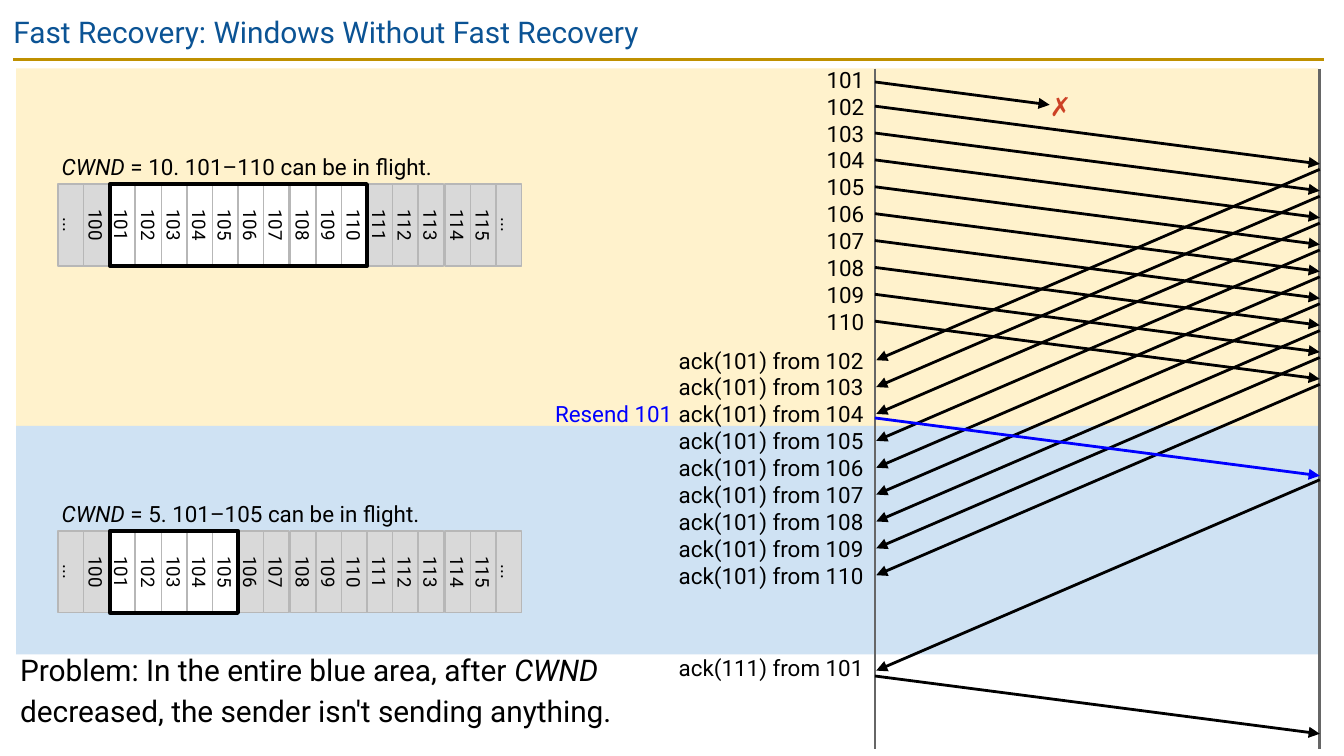
import dataclasses

import pptx
import pptx.dml.color
import pptx.enum.shapes
import pptx.enum.text
import pptx.oxml
import pptx.oxml.ns
import pptx.util

PX = 9144  # EMU in one px, 100 px to the inch


@dataclasses.dataclass(frozen=True)
class Theme:
    font: str = "Roboto"
    symbol_font: str = "Arial"
    heading: str = "0B5394"
    rule: str = "BF9000"
    ink: str = "000000"
    resend: str = "0000FF"
    loss: str = "CC4125"
    timeline: str = "666666"
    before: str = "FFF2CC"
    after: str = "CFE2F3"
    cell: str = "D9D9D9"
    open_cell: str = "FFFFFF"
    cell_edge: str = "B7B7B7"
    large: int = 16
    mark: int = 14
    label: int = 12
    small: int = 10
    thin: float = 0.75
    line: float = 1.5
    thick: float = 2.25


THEME = Theme()
SENDER, RECEIVER = 651, 982  # x of the two timelines
STEP = 20                    # time between packets
TRAVEL = 43                  # drop of a packet on its way
ACK_TRAVEL = 142             # drop of an acknowledgement
PACKETS = range(101, 111)


def lengths(*values):
    return [pptx.util.Emu(value * PX) for value in values]


def color(code):
    return pptx.dml.color.RGBColor.from_string(code)


def set_values(target, values):
    for name, value in values.items():
        setattr(target, name, value)


def write(shape, paras, size=THEME.label, ink=THEME.ink, font=THEME.font,
          inset=0, align="LEFT", anchor="TOP", auto="NONE"):
    """Fill a shape; each paragraph is a list of (text, italic) spans."""
    frame = shape.text_frame
    margin = pptx.util.Emu(inset * PX)
    set_values(frame, {
        "word_wrap": True,
        "auto_size": getattr(pptx.enum.text.MSO_AUTO_SIZE, auto),
        "vertical_anchor": getattr(pptx.enum.text.MSO_ANCHOR, anchor),
        "margin_left": margin, "margin_right": margin,
        "margin_top": margin, "margin_bottom": margin,
    })
    for index, spans in enumerate(paras):
        para = frame.add_paragraph() if index else frame.paragraphs[0]
        para.alignment = getattr(pptx.enum.text.PP_ALIGN, align)
        for text, italic in spans:
            span = para.add_run()
            span.text = text
            set_values(span.font, {"name": font, "bold": False, "italic": italic,
                                   "size": pptx.util.Pt(size)})
            span.font.color.rgb = color(ink)


def add_label(page, place, lines, **style):
    box = page.shapes.add_textbox(*lengths(*place))
    write(box, [[(line, False)] for line in lines],
          auto="SHAPE_TO_FIT_TEXT", **style)


def add_box(page, place, fill=None, edge=None, width=THEME.thin):
    box = page.shapes.add_shape(pptx.enum.shapes.MSO_SHAPE.RECTANGLE, *lengths(*place))
    box.shadow.inherit = False
    if fill:
        box.fill.solid()
        box.fill.fore_color.rgb = color(fill)
    else:
        box.fill.background()
    if edge:
        box.line.color.rgb = color(edge)
        box.line.width = pptx.util.Pt(width)
    else:
        box.line.fill.background()
    return box


def add_turned_box(page, center, length, breadth, **style):
    """Add a box turned a quarter, so that its length runs downwards."""
    left, top = (round(center[0] - length / 2), round(center[1] - breadth / 2))
    box = add_box(page, (left, top, length, breadth), **style)
    box.rotation = 90
    return box


def add_line(page, start, end, ink=THEME.ink, arrow=False):
    line = page.shapes.add_connector(
        pptx.enum.shapes.MSO_CONNECTOR.STRAIGHT, *lengths(*start, *end))
    line.line.color.rgb = color(ink)
    line.line.width = pptx.util.Pt(THEME.line)
    if arrow:
        head = pptx.oxml.parse_xml(
            f'<a:tailEnd {pptx.oxml.ns.nsdecls("a")} type="triangle"/>')
        line.line._get_or_add_ln().append(head)
    line._element.spPr.append(
        pptx.oxml.parse_xml(f'<a:effectLst {pptx.oxml.ns.nsdecls("a")}/>'))


def add_packet(page, top, ink=THEME.ink):
    add_line(page, (SENDER, top), (RECEIVER, top + TRAVEL), ink, arrow=True)


def add_ack(page, top):
    add_line(page, (RECEIVER, top), (SENDER + 1, top + ACK_TRAVEL), arrow=True)


def add_window(page, top, size):
    """Draw the packet strip with a window of the given size and its caption."""
    left, pitch, height, first = 43, 19.17, 61, 2
    middle = top + height / 2
    names = ["...", *map(str, range(100, 116)), "..."]
    for index, name in enumerate(names):
        inside = first <= index < first + size
        cell = add_turned_box(page, (left + (index + 0.5) * pitch, middle), height, 19,
                              fill=THEME.open_cell if inside else THEME.cell,
                              edge=THEME.cell_edge)
        write(cell, [[(name, False)]], size=THEME.small, inset=10,
              align="CENTER", anchor="MIDDLE")
    add_turned_box(page, (left + (first + size / 2) * pitch, middle), height,
                   int(size * pitch), edge=THEME.ink, width=THEME.thick)
    caption = page.shapes.add_textbox(*lengths(left, top - 26, 344, 26))
    write(caption, [[("CWND", True),
                     (f" = {size}. 101–{100 + size} can be in flight.", False)]], inset=3)


def fill_placeholder(shape, place, spans, **style):
    set_values(shape, dict(zip(("left", "top", "width", "height"), lengths(*place))))
    write(shape, [spans], size=THEME.large, **style)


def add_exchange(page):
    # Timelines
    for x in (SENDER, RECEIVER):
        add_line(page, (x, 51), (x, 557), THEME.timeline)

    # First flight: 101 is lost, the others arrive and are acknowledged
    add_line(page, (SENDER, 61), (781, 78), arrow=True)
    add_label(page, (781, 67, 17, 24), ["✗"], size=THEME.mark,
              ink=THEME.loss, font=THEME.symbol_font)
    for index in range(len(PACKETS) - 1):
        add_packet(page, 79 + index * STEP)
        add_ack(page, 126 + index * STEP)
    add_label(page, (615, 49, 33, 202), [str(number) for number in PACKETS])
    add_label(page, (505, 258, 139, 182),
              [f"ack(101) from {number}" for number in PACKETS[1:]])

    # Resent packet, its acknowledgement and the next packet
    add_label(page, (413, 298, 95, 20), ["Resend 101"], ink=THEME.resend)
    add_packet(page, 311, THEME.resend)
    add_ack(page, 357)
    add_label(page, (505, 487, 139, 20), ["ack(111) from 101"])
    add_packet(page, 503)


def main():
    deck = pptx.Presentation()
    deck.slide_width = pptx.util.Emu(1000 * PX)
    deck.slide_height = pptx.util.Emu(deck.slide_width * 9 // 16)
    page = deck.slides.add_slide(deck.slide_layouts[1])

    # Phases before and after the window shrinks
    add_box(page, (12, 51, 969, 266), fill=THEME.before)
    add_box(page, (12, 317, 969, 170), fill=THEME.after)

    # Title and rule
    fill_placeholder(page.shapes.title, (0, 0, 932, 43),
                     [("Fast Recovery: Windows Without Fast Recovery", False)],
                     ink=THEME.heading, inset=10)
    add_line(page, (10, 44), (985, 44), THEME.rule)

    add_exchange(page)
    add_window(page, 137, 10)
    add_window(page, 395, 5)

    # Conclusion, without a bullet
    body = page.placeholders[1]
    fill_placeholder(body, (12, 478, 479, 70), [
        ("Problem: In the entire blue area, after ", False), ("CWND", True),
        (" decreased, the sender isn't sending anything.", False)], inset=3)
    para = body.text_frame.paragraphs[0]
    set_values(para, {"line_spacing": 1.15, "space_before": pptx.util.Pt(0)})
    properties = para._p.get_or_add_pPr()
    properties.set("marL", "0")
    properties.set("indent", "0")
    properties.append(pptx.oxml.parse_xml(f'<a:buNone {pptx.oxml.ns.nsdecls("a")}/>'))

    deck.save("out.pptx")


if __name__ == "__main__":
    main()
